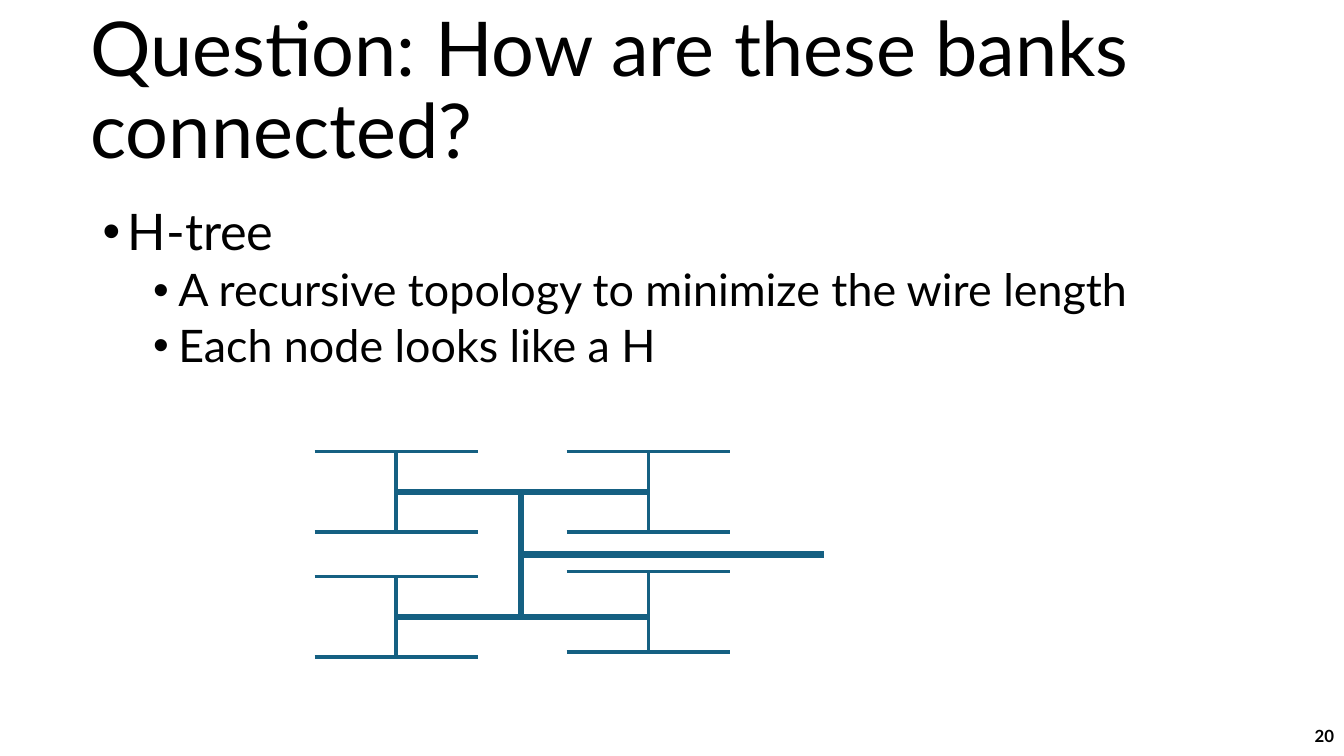
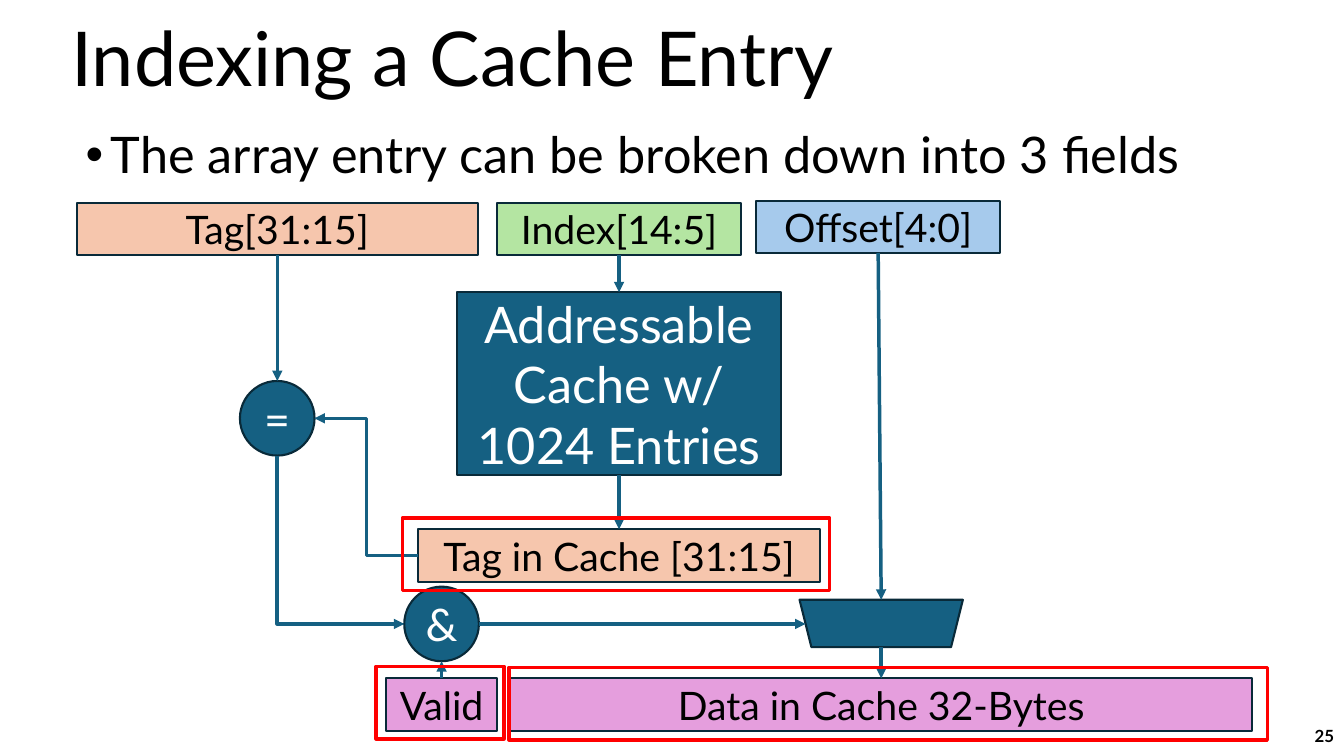
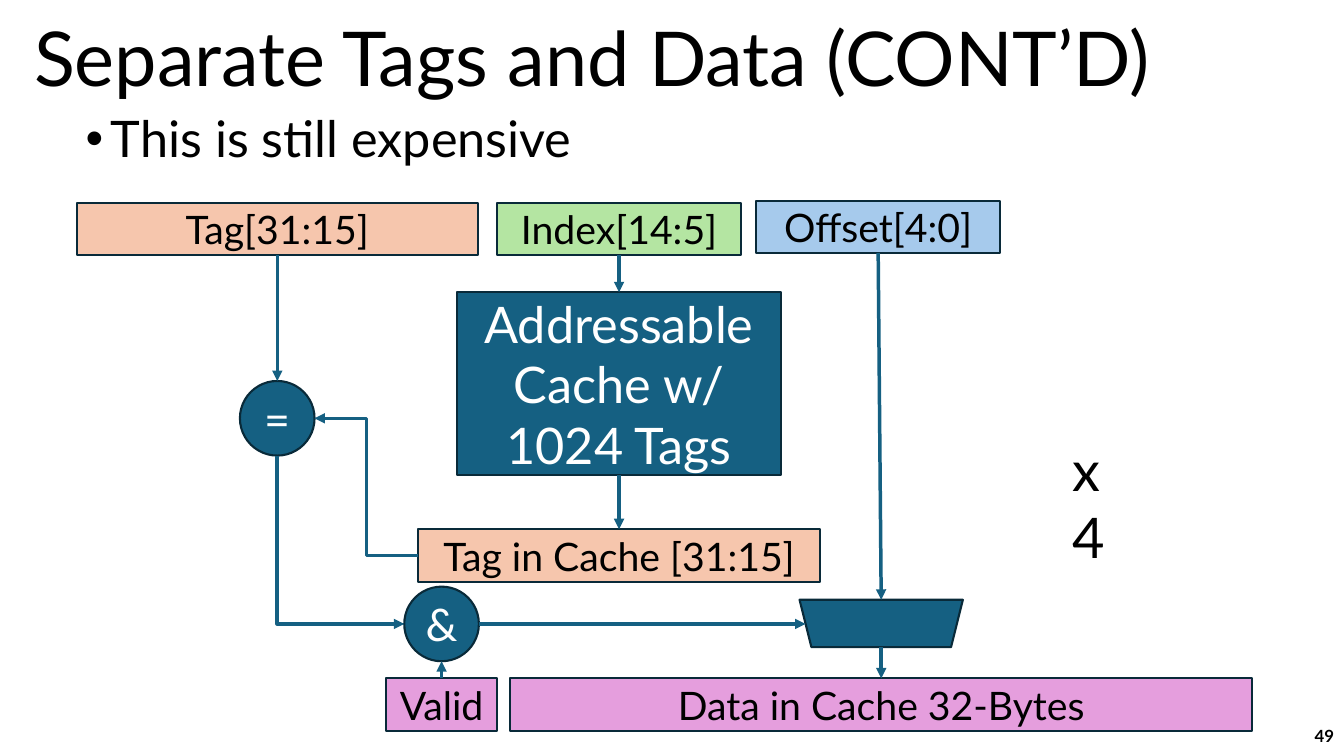
from dataclasses import dataclass

from lxml import etree
from pptx import Presentation
from pptx.dml.color import RGBColor
from pptx.enum.shapes import MSO_CONNECTOR, MSO_SHAPE
from pptx.enum.text import MSO_ANCHOR, PP_ALIGN
from pptx.oxml.ns import qn
from pptx.util import Emu, Pt

RECT = MSO_SHAPE.RECTANGLE
OVAL = MSO_SHAPE.OVAL
TRAPEZOID = MSO_SHAPE.TRAPEZOID
STRAIGHT = MSO_CONNECTOR.STRAIGHT
ELBOW = MSO_CONNECTOR.ELBOW
LEFT, CENTER, RIGHT = PP_ALIGN.LEFT, PP_ALIGN.CENTER, PP_ALIGN.RIGHT
TOP, MIDDLE = MSO_ANCHOR.TOP, MSO_ANCHOR.MIDDLE
TOP_SITE, BOTTOM_SITE = 0, 2

BLACK = RGBColor(0x00, 0x00, 0x00)
WHITE = RGBColor(0xFF, 0xFF, 0xFF)
TEAL = RGBColor(0x15, 0x60, 0x82)
EDGE = RGBColor(0x09, 0x2A, 0x39)
PEACH = RGBColor(0xF6, 0xC6, 0xAD)
GREEN = RGBColor(0xB4, 0xE5, 0xA2)
SKY = RGBColor(0xA6, 0xCA, 0xEC)
PINK = RGBColor(0xE5, 0x9E, 0xDD)
RED = RGBColor(0xFF, 0x00, 0x00)

FONT = "Lato"
EMU_PER_PX = 9144
BLANK_LAYOUT = 6


@dataclass(frozen=True)
class Area:
    x: int
    y: int
    w: int
    h: int

    def emu(self) -> tuple:
        return tuple(px(v) for v in (self.x, self.y, self.w, self.h))


@dataclass(frozen=True)
class Block:
    name: str
    area: Area
    text: str = ""
    fill: RGBColor = TEAL
    size: int = 28
    color: RGBColor = BLACK
    kind: int = RECT
    rotation: int = 0


@dataclass(frozen=True)
class Wire:
    x1: int
    y1: int
    x2: int
    y2: int
    src: str = ""
    dst: str = ""
    src_site: int = BOTTOM_SITE
    kind: int = STRAIGHT


@dataclass(frozen=True)
class HNode:
    area: Area
    weight: float = 2.5


@dataclass(frozen=True)
class Bullet:
    text: str
    level: int = 0


PAGE = Area(0, 0, 1333, 750)
NUMBER_AREA = Area(1033, 710, 300, 40)

BLOCKS = (
    Block("tag", Area(76, 201, 398, 52), "Tag[31:15]", PEACH),
    Block("index", Area(493, 201, 242, 52), "Index[14:5]", GREEN),
    Block("offset", Area(750, 199, 242, 52), "Offset[4:0]", SKY),
    Block("stored_tag", Area(415, 525, 398, 52), "Tag in Cache [31:15]", PEACH),
    Block("equals", Area(238, 378, 74, 74), "=", size=32, color=WHITE, kind=OVAL),
    Block("data", Area(506, 673, 736, 52), "Data in Cache 32-Bytes", PINK),
    Block("mux", Area(793, 595, 162, 47), kind=TRAPEZOID, rotation=180),
    Block("valid", Area(383, 673, 110, 52), "Valid", PINK),
    Block("and", Area(401, 582, 74, 74), "&", size=32, color=WHITE, kind=OVAL),
)
CACHE_AREA = Area(453, 290, 322, 181)

WIRES = (
    Wire(614, 253, 614, 290, "index", "cache"),
    Wire(614, 471, 614, 525, "cache", "stored_tag"),
    Wire(275, 253, 275, 378, "tag"),
    Wire(871, 251, 874, 595, "offset"),
    Wire(874, 642, 874, 673, dst="data"),
    Wire(438, 673, 438, 656, "valid", src_site=TOP_SITE),
    Wire(475, 619, 799, 619),
    Wire(415, 551, 312, 415, kind=ELBOW),
)

FIELD_FRAMES = (
    Area(373, 661, 127, 72),
    Area(399, 514, 424, 72),
    Area(505, 662, 752, 72),
)

H_TREE = (
    HNode(Area(391, 488, 252, 124), 4),
    HNode(Area(562, 448, 162, 80)),
    HNode(Area(562, 567, 162, 80)),
    HNode(Area(312, 448, 162, 80)),
    HNode(Area(312, 572, 162, 80)),
)


def px(value: int) -> Emu:
    return Emu(value * EMU_PER_PX)


def write(p, text: str, *, size: int, color: RGBColor = BLACK, bold: bool = False,
          align: int = LEFT, spacing: float = 1.0) -> None:
    p.alignment = align
    p.line_spacing = spacing
    r = p.add_run()
    r.text = text
    r.font.name = FONT
    r.font.size = Pt(size)
    r.font.bold = bold
    r.font.color.rgb = color


def add_text_frame(slide, area: Area, anchor: int = TOP):
    tf = slide.shapes.add_textbox(*area.emu()).text_frame
    tf.word_wrap = True
    tf.vertical_anchor = anchor
    return tf


def add_page(prs, title: str, title_area: Area, number: str,
             bullets: tuple, body_area: Area):
    slide = prs.slides.add_slide(prs.slide_layouts[BLANK_LAYOUT])
    tf = add_text_frame(slide, title_area, MIDDLE)
    write(tf.paragraphs[0], title, size=54, spacing=0.9)
    add_bullets(slide, body_area, bullets)
    tf = add_text_frame(slide, NUMBER_AREA, MIDDLE)
    write(tf.paragraphs[0], number, size=12, bold=True, align=RIGHT)
    return slide


def add_bullets(slide, area: Area, bullets: tuple) -> None:
    tf = add_text_frame(slide, area)
    for i, bullet in enumerate(bullets):
        p = tf.add_paragraph() if i else tf.paragraphs[0]
        p.level = bullet.level
        write(p, bullet.text, size=36 - 4 * bullet.level, spacing=0.9)
        if i:
            p.space_before = Pt(10 - 5 * bullet.level)
        props = p._p.get_or_add_pPr()
        props.set("marL", str(px(25 + 50 * bullet.level)))
        props.set("indent", str(px(-25)))
        etree.SubElement(props, qn("a:buFont")).set("typeface", "Arial")
        etree.SubElement(props, qn("a:buChar")).set("char", "•")


def add_block(slide, block: Block):
    sp = slide.shapes.add_shape(block.kind, *block.area.emu())
    sp.shadow.inherit = False
    sp.rotation = block.rotation
    sp.fill.solid()
    sp.fill.fore_color.rgb = block.fill
    sp.line.color.rgb = EDGE
    sp.line.width = Pt(1.5)
    if block.text:
        tf = sp.text_frame
        tf.word_wrap = True
        tf.vertical_anchor = MIDDLE
        write(tf.paragraphs[0], block.text, size=block.size, color=block.color,
              align=CENTER)
    return sp


def add_frame(slide, area: Area) -> None:
    sp = slide.shapes.add_shape(RECT, *area.emu())
    sp.shadow.inherit = False
    sp.fill.background()
    sp.line.color.rgb = RED
    sp.line.width = Pt(2.5)


def add_line(shapes, wire: Wire, weight: float = 2.5, arrow: bool = False):
    ends = (px(v) for v in (wire.x1, wire.y1, wire.x2, wire.y2))
    line = shapes.add_connector(wire.kind, *ends)
    line.line.color.rgb = TEAL
    line.line.width = Pt(weight)
    props = line._element.spPr
    if arrow:
        tail = etree.SubElement(props.find(qn("a:ln")), qn("a:tailEnd"))
        tail.set("type", "triangle")
    etree.SubElement(props, qn("a:effectLst"))
    return line


def add_corner(shapes, wire: Wire) -> None:
    line = add_line(shapes, wire, arrow=True)
    run, drop = line.width, line.height
    line.left += (run - drop) // 2
    line.top += (drop - run) // 2
    line.width, line.height = drop, run
    props = line._element.spPr
    props.find(qn("a:prstGeom")).set("prst", "bentConnector2")
    xfrm = props.find(qn("a:xfrm"))
    xfrm.set("rot", str(270 * 60000))
    xfrm.set("flipH", "1")


def add_h(slide, node: HNode) -> None:
    a = node.area
    mid, right, bottom = a.x + a.w // 2, a.x + a.w, a.y + a.h
    group = slide.shapes.add_group_shape()
    for wire in (Wire(a.x, a.y, right, a.y), Wire(a.x, bottom, right, bottom),
                 Wire(mid, bottom, mid, a.y)):
        add_line(group.shapes, wire, node.weight)


def add_lookup(slide, cache_text: str) -> None:
    cache = Block("cache", CACHE_AREA, cache_text, size=36, color=WHITE)
    placed = {block.name: add_block(slide, block) for block in (cache, *BLOCKS)}
    for wire in WIRES:
        line = add_line(slide.shapes, wire, arrow=True)
        if wire.src:
            line.begin_connect(placed[wire.src], wire.src_site)
        if wire.dst:
            line.end_connect(placed[wire.dst], TOP_SITE)
    add_corner(slide.shapes, Wire(275, 452, 401, 619, kind=ELBOW))


def build_h_tree(prs) -> None:
    bullets = (
        Bullet("H-tree"),
        Bullet("A recursive topology to minimize the wire length", 1),
        Bullet("Each node looks like a H", 1),
    )
    slide = add_page(prs, "Question: How are these banks connected?",
                     Area(80, 0, 1162, 185), "20", bullets,
                     Area(92, 200, 1150, 476))
    for node in H_TREE:
        add_h(slide, node)
    add_line(slide.shapes, Wire(517, 550, 817, 550), 5)


def build_indexing(prs) -> None:
    bullets = (Bullet("The array entry can be broken down into 3 fields"),)
    slide = add_page(prs, "Indexing a Cache Entry", Area(61, 5, 1150, 114), "25",
                     bullets, Area(75, 124, 1150, 120))
    add_lookup(slide, "Addressable Cache w/ 1024 Entries")
    for area in FIELD_FRAMES:
        add_frame(slide, area)


def build_separate_tags(prs) -> None:
    bullets = (Bullet("This is still expensive"),)
    slide = add_page(prs, "Separate Tags and Data (CONT’D)",
                     Area(24, 5, 1277, 114), "49", bullets,
                     Area(75, 108, 1205, 120))
    add_lookup(slide, "Addressable Cache w/ 1024 Tags")
    tf = add_text_frame(slide, Area(1054, 427, 75, 77))
    write(tf.paragraphs[0], "x4", size=40)


def main() -> None:
    prs = Presentation()
    prs.slide_width, prs.slide_height = px(PAGE.w), px(PAGE.h)
    build_h_tree(prs)
    build_indexing(prs)
    build_separate_tags(prs)
    prs.save("out.pptx")


if __name__ == "__main__":
    main()
